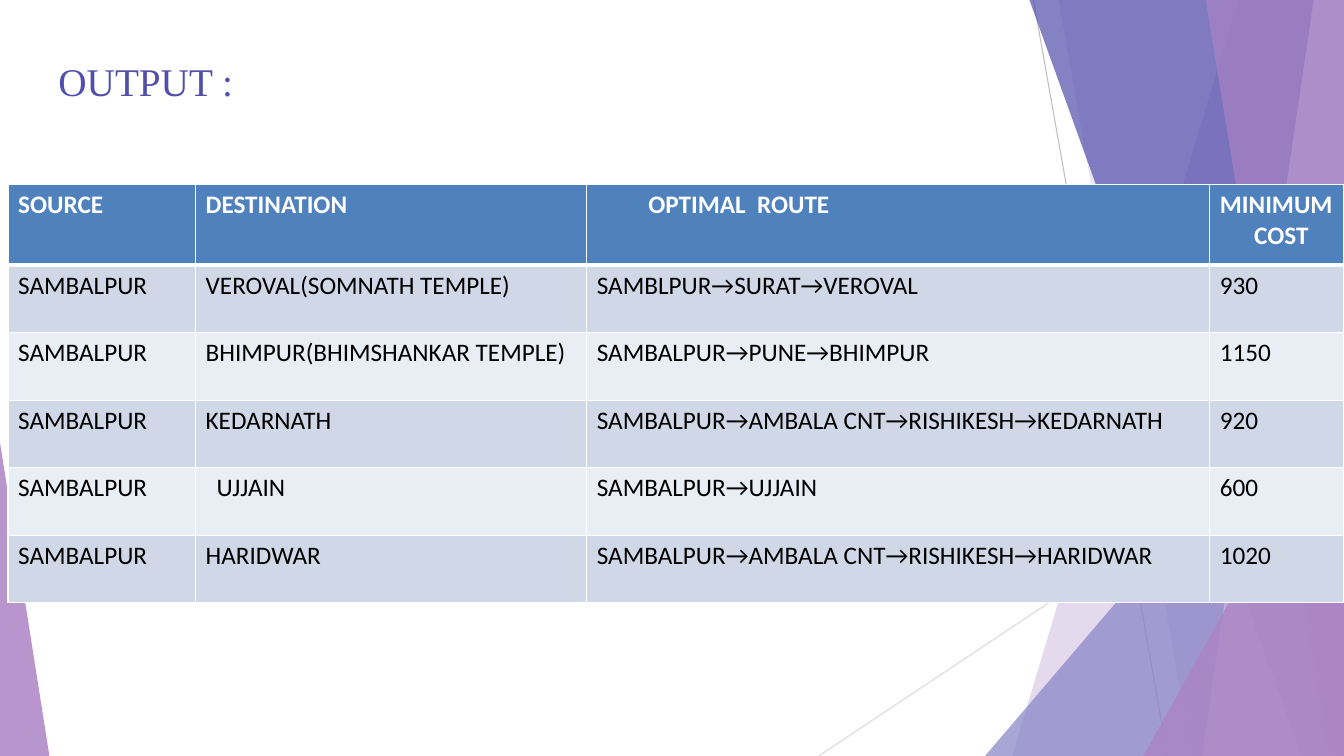
"""Build the OUTPUT slide: a table of optimal routes over a faceted backdrop."""
from dataclasses import dataclass

from lxml import etree
from pptx import Presentation, util as u
from pptx.dml.color import RGBColor
from pptx.enum import shapes, text
from pptx.oxml import ns

WIDTH, HEIGHT = 13.33, 7.5
WHITE = RGBColor(0xFF, 0xFF, 0xFF)
BLACK = RGBColor(0, 0, 0)
INDIGO = RGBColor(0x52, 0x4E, 0xAB)
PERIWINKLE = RGBColor(0x86, 0x84, 0xC6)
ORCHID = RGBColor(0xAC, 0x84, 0xC5)
LILAC = RGBColor(0xCE, 0xB5, 0xDD)
GREY = RGBColor(0xBE, 0xBE, 0xBE)
PALE_GREY = RGBColor(0xD9, 0xD9, 0xD9)
HEADER_BLUE = RGBColor(0x4F, 0x81, 0xBD)
BANDS = (RGBColor(0xD0, 0xD8, 0xE8), RGBColor(0xE9, 0xED, 0xF4))

Point = tuple[float, float]


@dataclass(frozen=True)
class Ray:
    start: Point
    end: Point
    color: RGBColor


@dataclass(frozen=True)
class Facet:
    corners: tuple[Point, ...]
    color: RGBColor
    opacity: int


@dataclass(frozen=True)
class Entry:
    wording: str
    indent: float = 0


def right_band(top_x: float, bottom_x: float) -> tuple[Point, ...]:
    """Return a full-height band that reaches the right edge."""
    return (WIDTH, 0), (top_x, 0), (bottom_x, HEIGHT), (WIDTH, HEIGHT)


def right_wedge(top: float, left: float) -> tuple[Point, ...]:
    """Return a triangle in the bottom right corner."""
    return (WIDTH, top), (left, HEIGHT), (WIDTH, HEIGHT)


RAYS = (
    Ray((10.25, 0), (11.58, HEIGHT), GREY),
    Ray((WIDTH, 4.03), (8.12, HEIGHT), PALE_GREY),
)
FACETS = (
    Facet(right_band(12.28, 10.04), ORCHID, 30),
    Facet(right_band(10.5, 11.82), ORCHID, 20),
    Facet(right_wedge(3.33, 9.77), PERIWINKLE, 72),
    Facet(right_band(10.21, 12.91), INDIGO, 70),
    Facet(right_band(13.03, 11.92), LILAC, 70),
    Facet(right_band(11.96, 13.18), ORCHID, 65),
    Facet(right_wedge(3.93, 11.34), ORCHID, 80),
    Facet(((0, 4.39), (0, HEIGHT), (0.49, HEIGHT)), ORCHID, 85),
)

COLUMN_WIDTHS = (1.86, 3.88, 6.18, 1.33)
ROW_HEIGHTS = (0.8,) + (0.67,) * 5
HEADINGS = (
    (Entry("SOURCE"),),
    (Entry("DESTINATION"),),
    (Entry("OPTIMAL  ROUTE", 0.51),),
    (Entry("MINIMUM"), Entry("COST", 0.34)),
)
ROUTES = (
    (Entry("VEROVAL(SOMNATH TEMPLE)"), "SAMBLPUR→SURAT→VEROVAL", 930),
    (Entry("BHIMPUR(BHIMSHANKAR TEMPLE)"), "SAMBALPUR→PUNE→BHIMPUR", 1150),
    (Entry("KEDARNATH"), "SAMBALPUR→AMBALA CNT→RISHIKESH→KEDARNATH", 920),
    (Entry("UJJAIN", 0.11), "SAMBALPUR→UJJAIN", 600),
    (Entry("HARIDWAR"), "SAMBALPUR→AMBALA CNT→RISHIKESH→HARIDWAR", 1020),
)

TITLE_FONT = {"name": "Times New Roman", "size": u.Pt(28)}
TITLE_FRAME = {
    "margin_left": 0, "margin_top": 0, "margin_right": 0, "margin_bottom": 0,
    "word_wrap": True, "vertical_anchor": text.MSO_ANCHOR.TOP,
}
HEADING_FONT = {"name": "Calibri", "size": u.Pt(18), "bold": True}
BODY_FONT = HEADING_FONT | {"bold": False}
PLAIN_TABLE = {"first_row": False, "horz_banding": False}


def apply_format(target, values: dict) -> None:
    """Set each named attribute on the target."""
    for name, value in values.items():
        setattr(target, name, value)


def draw_ray(slide, ray: Ray) -> None:
    """Draw one thin backdrop line."""
    ends = [u.Inches(length) for length in ray.start + ray.end]
    line = slide.shapes.add_connector(shapes.MSO_CONNECTOR.STRAIGHT, *ends)
    line.line.color.rgb = ray.color
    line.line.width = u.Pt(0.75)
    etree.SubElement(line._element.spPr, ns.qn("a:effectLst"))


def draw_facet(slide, facet: Facet) -> None:
    """Draw one translucent backdrop polygon."""
    first, *rest = [(u.Inches(x), u.Inches(y)) for x, y in facet.corners]
    builder = slide.shapes.build_freeform(*first)
    builder.add_line_segments(rest, close=True)
    polygon = builder.convert_to_shape()
    polygon.shadow.inherit = False
    polygon.line.fill.background()
    polygon.fill.solid()
    polygon.fill.fore_color.rgb = facet.color
    color = polygon._element.spPr.find(".//" + ns.qn("a:srgbClr"))
    etree.SubElement(color, ns.qn("a:alpha"), val=str(facet.opacity * 1000))


def write_entry(paragraph, entry: Entry, font: dict, color: RGBColor) -> None:
    """Write one formatted line of text."""
    run = paragraph.add_run()
    run.text = entry.wording
    apply_format(run.font, font)
    run.font.color.rgb = color
    if entry.indent:
        paragraph._p.get_or_add_pPr().set("marL", str(u.Inches(entry.indent)))


def draw_title(slide) -> None:
    """Draw the slide heading."""
    box = (u.Inches(length) for length in (0.58, 0.57, 12.18, 0.47))
    frame = slide.shapes.add_textbox(*box).text_frame
    apply_format(frame, TITLE_FRAME)
    write_entry(frame.paragraphs[0], Entry("OUTPUT :"), TITLE_FONT, INDIGO)


def draw_borders(cell, widths: dict[str, int]) -> None:
    """Give the cell white borders of the given point widths."""
    properties = cell._tc.get_or_add_tcPr()
    for side, width in widths.items():
        border = etree.SubElement(properties, ns.qn(f"a:ln{side}"), w=str(u.Pt(width)))
        fill = etree.SubElement(border, ns.qn("a:solidFill"))
        etree.SubElement(fill, ns.qn("a:srgbClr"), val=str(WHITE))


def fill_cell(cell, entries: tuple[Entry, ...], row: int) -> None:
    """Style one table cell and write its lines."""
    is_heading = row == 0
    draw_borders(cell, {"L": 1, "R": 1, "T": 3 if row == 1 else 1, "B": 3 if is_heading else 1})
    cell.fill.solid()
    cell.fill.fore_color.rgb = HEADER_BLUE if is_heading else BANDS[(row - 1) % 2]
    font, color = (HEADING_FONT, WHITE) if is_heading else (BODY_FONT, BLACK)
    frame = cell.text_frame
    for index, entry in enumerate(entries):
        paragraph = frame.add_paragraph() if index else frame.paragraphs[0]
        write_entry(paragraph, entry, font, color)


def draw_routes(slide) -> None:
    """Draw the table of routes and costs."""
    rows = [HEADINGS] + [
        ((Entry("SAMBALPUR"),), (destination,), (Entry(route),), (Entry(str(cost)),))
        for destination, route, cost in ROUTES
    ]
    box = (0.08, 1.83, sum(COLUMN_WIDTHS), sum(ROW_HEIGHTS))
    table = slide.shapes.add_table(
        len(rows), len(COLUMN_WIDTHS), *(u.Inches(length) for length in box)
    ).table
    apply_format(table, PLAIN_TABLE)
    for column, width in zip(table.columns, COLUMN_WIDTHS):
        column.width = u.Inches(width)
    for row, height in zip(table.rows, ROW_HEIGHTS):
        row.height = u.Inches(height)
    for row_index, row_entries in enumerate(rows):
        for column_index, entries in enumerate(row_entries):
            fill_cell(table.cell(row_index, column_index), entries, row_index)


def main() -> None:
    """Assemble and save the slide."""
    deck = Presentation()
    apply_format(deck, {"slide_width": u.Inches(WIDTH), "slide_height": u.Inches(HEIGHT)})
    slide = deck.slides.add_slide(deck.slide_layouts[6])
    for ray in RAYS:
        draw_ray(slide, ray)
    for facet in FACETS:
        draw_facet(slide, facet)
    draw_title(slide)
    draw_routes(slide)
    deck.save("out.pptx")


if __name__ == "__main__":
    main()
